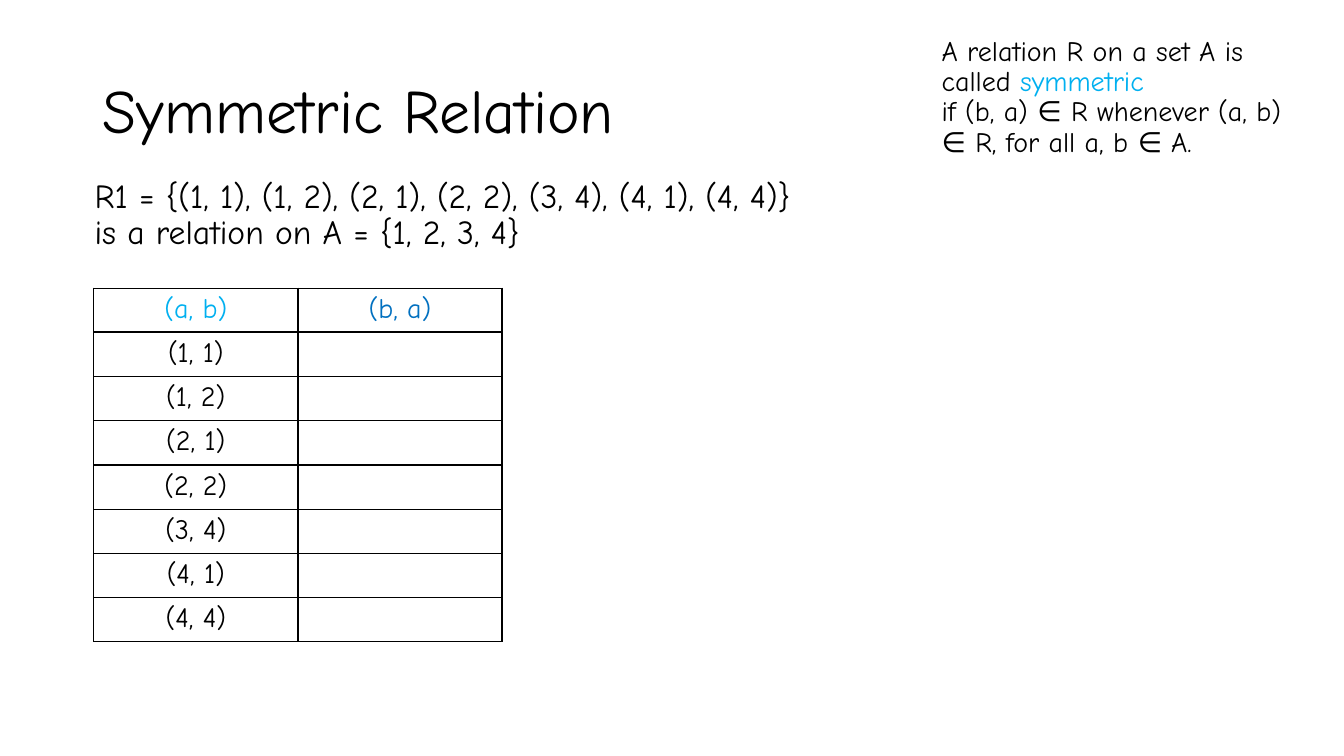
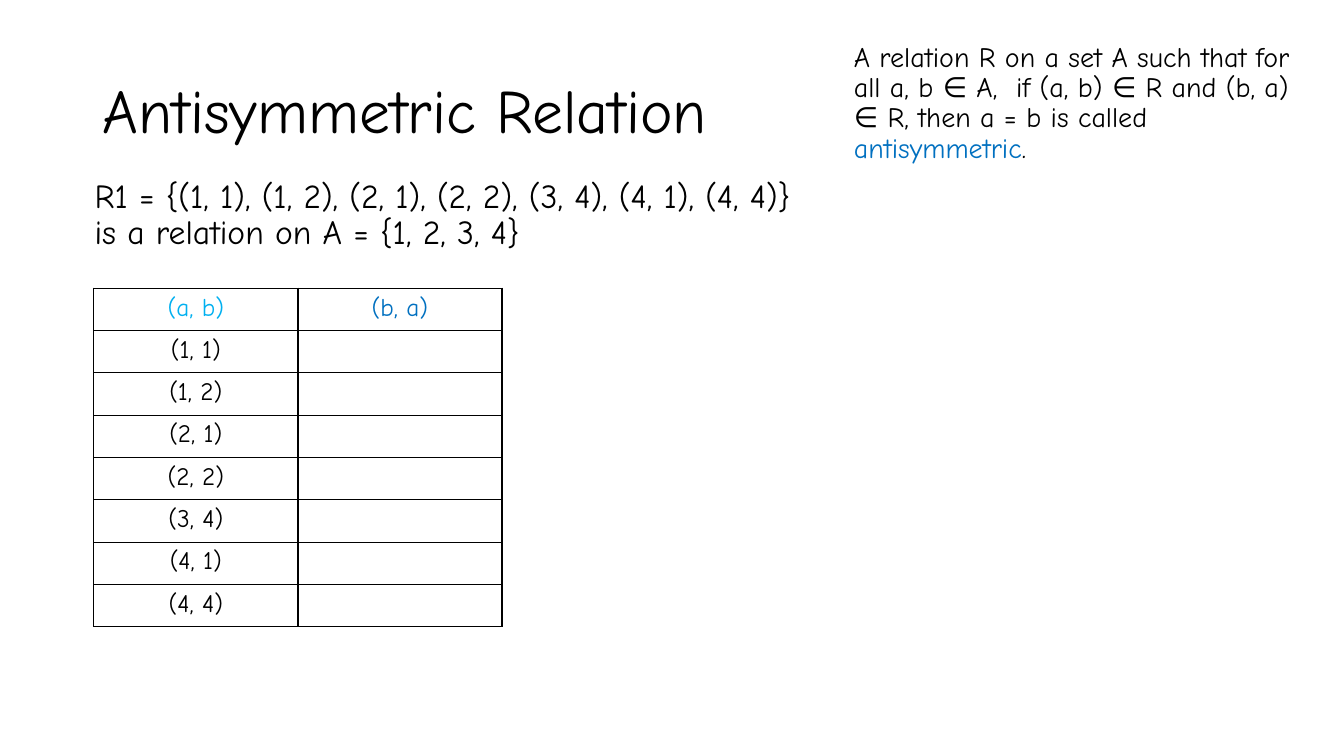
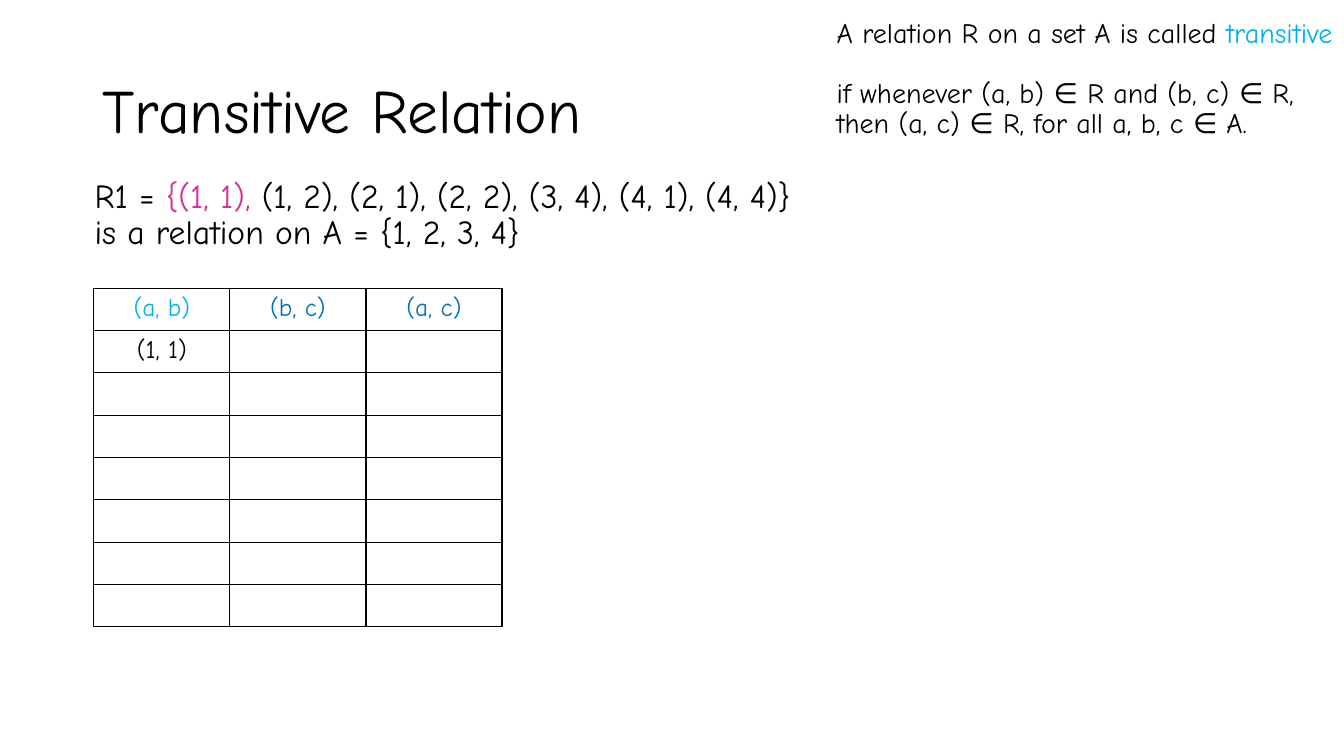
from copy import deepcopy
from dataclasses import dataclass

from lxml import etree
from pptx import Presentation
from pptx.dml.color import RGBColor
from pptx.enum.text import MSO_ANCHOR, PP_ALIGN
from pptx.oxml.ns import qn
from pptx.util import Inches, Pt

MIDDLE, TOP = MSO_ANCHOR.MIDDLE, MSO_ANCHOR.TOP
CENTER, LEFT = PP_ALIGN.CENTER, PP_ALIGN.LEFT
BLANK_LAYOUT = 6


@dataclass(frozen=True)
class Theme:
    font: str = "Comic Neue"
    ink: str = "000000"
    sky: str = "00B0F0"
    blue: str = "0070C0"
    pink: str = "D3359B"
    title_size: int = 44
    relation_size: int = 24
    definition_size: int = 20
    border_width: int = 1
    line_spacing: float = 0.9
    space_before: int = 10


THEME = Theme()

# Boxes are left, top, width, height in inches
TITLE_BOX = (0.92, 0.4, 11.5, 1.45)
RELATION_BOX = (0.84, 1.73, 7.97, 1.2)
TABLE_LEFT, TABLE_TOP, TABLE_WIDTH = 0.93, 2.86, 4.05
ROW_HEIGHT, TALL_ROW_HEIGHT = 0.42, 0.44
ROW_COUNT = 8

PAIRS = ["(1, 1)", "(1, 2)", "(2, 1)", "(2, 2)", "(3, 4)", "(4, 1)", "(4, 4)"]
DOMAIN = " \nis a relation on A = {1, 2, 3, 4}"
RELATION = [("R1 = {" + ", ".join(PAIRS) + "}" + DOMAIN, THEME.ink)]
RELATION_FIRST_PAIR = [
    ("R1 = ", THEME.ink),
    ("{" + PAIRS[0] + ", ", THEME.pink),
    (", ".join(PAIRS[1:]) + "}" + DOMAIN, THEME.ink),
]

SLIDES = [
    {
        "title": "Symmetric Relation",
        "definition_box": (9.24, 0.32, 3.65, 1.37),
        "definition": [
            ("A relation R on a set A is called ", THEME.ink),
            ("symmetric \n", THEME.sky),
            ("if (b, a) ∈ R whenever (a, b) ∈ R, for all a, b ∈ A.", THEME.ink),
        ],
        "relation": RELATION,
        "headers": ["(a, b)", "(b, a)"],
        "pairs": PAIRS,
        "table_size": 20,
        "tall_rows": range(1, 6),
    },
    {
        "title": "Antisymmetric Relation",
        "definition_box": (8.37, 0.38, 4.52, 1.21),
        "definition": [
            ("A relation R on a set A such that for all a, b ∈ A,  if (a, b) ∈ R "
             "and (b, a) ∈ R, then a = b is called ", THEME.ink),
            ("antisymmetric", THEME.blue),
            (".", THEME.ink),
        ],
        "relation": RELATION,
        "headers": ["(a, b)", "(b, a)"],
        "pairs": PAIRS,
        "table_size": 18,
        "tall_rows": (),
    },
    {
        "title": "Transitive Relation",
        "definition_box": (8.2, 0.14, 5.14, 1.37),
        "definition": [
            ("A relation R on a set A is called ", THEME.ink),
            ("transitive \n", THEME.sky),
            ("if whenever (a, b) ∈ R and (b, c) ∈ R, \n"
             "then (a, c) ∈ R, for all a, b, c ∈ A.", THEME.ink),
        ],
        "relation": RELATION_FIRST_PAIR,
        "headers": ["(a, b)", "(b, c)", "(a, c)"],
        "pairs": PAIRS[:1],
        "table_size": 18,
        "tall_rows": (),
    },
]


def set_values(target, values):
    for name, value in values.items():
        setattr(target, name, value)


def write_runs(paragraph, parts, size):
    """Write (text, colour) parts; a newline becomes a line break."""
    for text, color in parts:
        for index, line in enumerate(text.split("\n")):
            if index:
                # The break keeps the type size of the run before it
                paragraph.add_line_break()
                paragraph._p[-1].append(deepcopy(run._r.rPr))
            if line:
                run = paragraph.add_run()
                run.text = line
                set_values(run.font, {"name": THEME.font, "size": Pt(size)})
                run.font.color.rgb = RGBColor.from_string(color)


def add_text(slide, box, parts, size, anchor=TOP, space_before=THEME.space_before):
    shape = slide.shapes.add_textbox(*map(Inches, box))
    set_values(shape.text_frame, {"word_wrap": True, "vertical_anchor": anchor})
    paragraph = shape.text_frame.paragraphs[0]
    set_values(paragraph, {
        "alignment": LEFT,
        "line_spacing": THEME.line_spacing,
        "space_before": Pt(space_before),
    })
    write_runs(paragraph, parts, size)


def add_borders(cell):
    properties = cell._tc.get_or_add_tcPr()
    for index, side in enumerate(("a:lnL", "a:lnR", "a:lnT", "a:lnB")):
        line = etree.Element(qn(side), w=str(Pt(THEME.border_width)))
        fill = etree.SubElement(line, qn("a:solidFill"))
        etree.SubElement(fill, qn("a:srgbClr"), val=THEME.ink)
        properties.insert(index, line)


def add_pair_table(slide, box, headers, pairs, size, row_heights):
    table = slide.shapes.add_table(
        len(row_heights), len(headers), *map(Inches, box)).table
    set_values(table, {"first_row": False, "horz_banding": False})
    for column in table.columns:
        column.width = Inches(box[2] / len(headers))
    for row, height in zip(table.rows, row_heights):
        row.height = Inches(height)
    for cell in table.iter_cells():
        cell.fill.background()
        add_borders(cell)

    # Header row, then the known pairs down the first column
    entries = [(0, column, text, THEME.blue if column else THEME.sky)
               for column, text in enumerate(headers)]
    entries += [(row, 0, text, THEME.ink) for row, text in enumerate(pairs, 1)]
    for row, column, text, color in entries:
        paragraph = table.cell(row, column).text_frame.paragraphs[0]
        paragraph.alignment = CENTER
        write_runs(paragraph, [(text, color)], size)


def build_relation_slide(presentation, content):
    slide = presentation.slides.add_slide(presentation.slide_layouts[BLANK_LAYOUT])
    # Title, definition and relation
    add_text(slide, TITLE_BOX, [(content["title"], THEME.ink)],
             THEME.title_size, anchor=MIDDLE, space_before=0)
    add_text(slide, content["definition_box"], content["definition"],
             THEME.definition_size)
    add_text(slide, RELATION_BOX, content["relation"], THEME.relation_size)
    # Table of pairs
    row_heights = [TALL_ROW_HEIGHT if row in content["tall_rows"] else ROW_HEIGHT
                   for row in range(ROW_COUNT)]
    table_box = (TABLE_LEFT, TABLE_TOP, TABLE_WIDTH, sum(row_heights))
    add_pair_table(slide, table_box, content["headers"], content["pairs"],
                   content["table_size"], row_heights)


presentation = Presentation()
set_values(presentation, {"slide_width": Inches(13.33), "slide_height": Inches(7.5)})
for slide_content in SLIDES:
    build_relation_slide(presentation, slide_content)
presentation.save("out.pptx")
